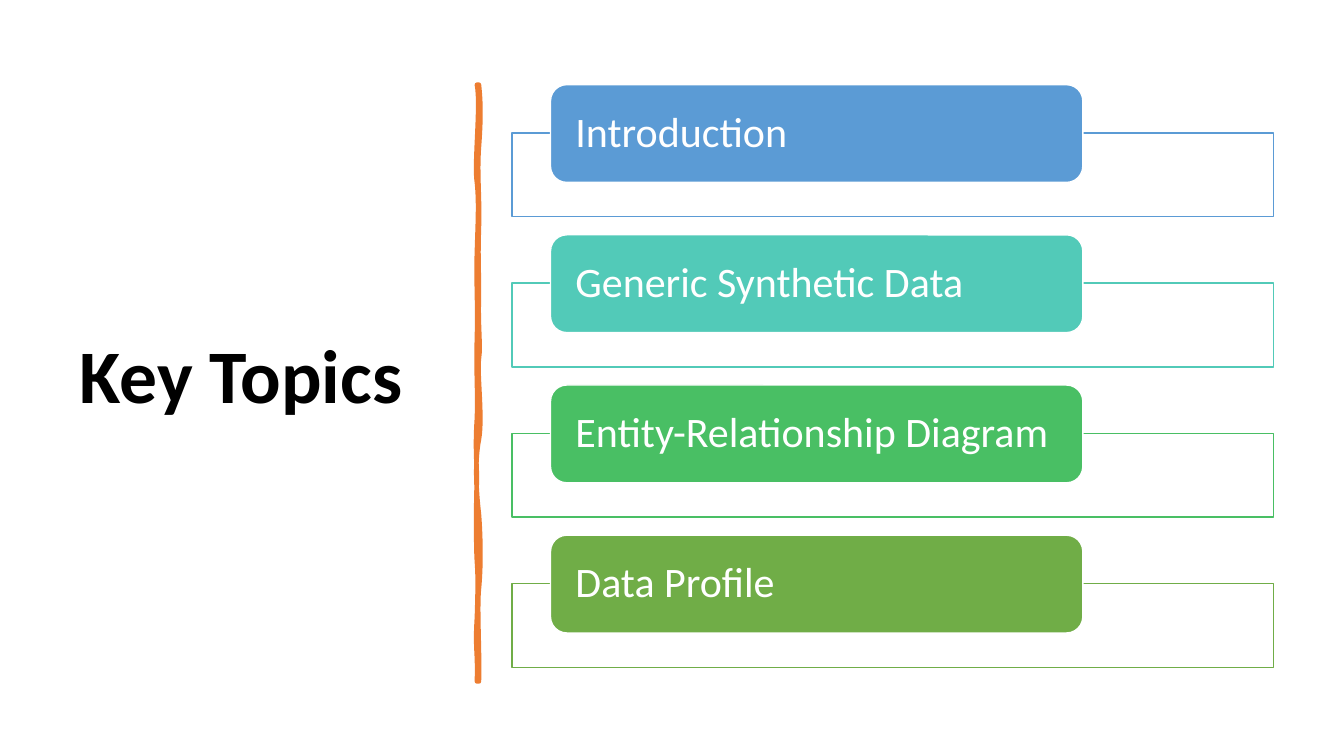
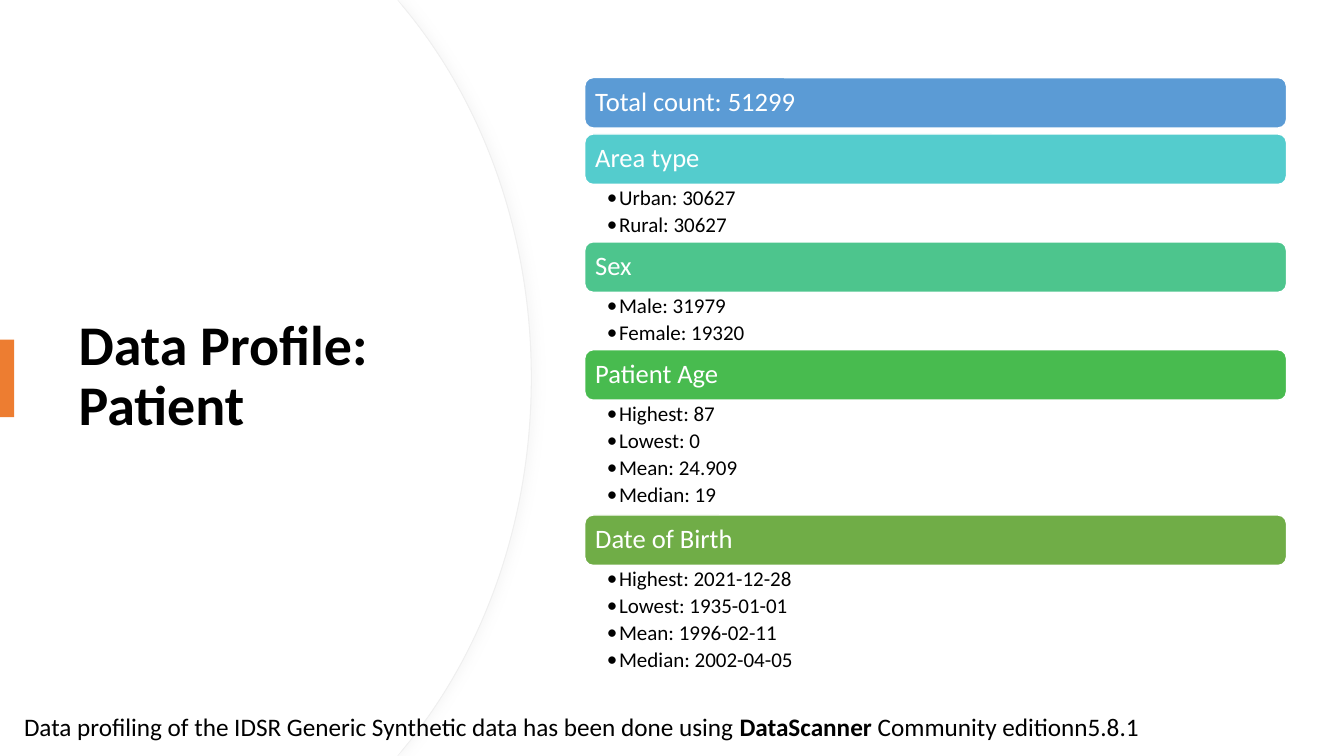
from pptx import Presentation
from pptx.dml.color import RGBColor
from pptx.enum.shapes import MSO_SHAPE
from pptx.enum.text import MSO_ANCHOR, MSO_AUTO_SIZE, PP_ALIGN
from pptx.oxml import parse_xml
from pptx.oxml.ns import nsdecls
from pptx.util import Inches, Pt

RECT, ROUND = MSO_SHAPE.RECTANGLE, MSO_SHAPE.ROUNDED_RECTANGLE
TOP, MIDDLE = MSO_ANCHOR.TOP, MSO_ANCHOR.MIDDLE
LEFT = PP_ALIGN.LEFT
NO_FIT = MSO_AUTO_SIZE.NONE

FONT = "Calibri"
WHITE = RGBColor(0xFF, 0xFF, 0xFF)
BLACK = RGBColor(0x00, 0x00, 0x00)
ORANGE = RGBColor(0xED, 0x7D, 0x31)
PALE = RGBColor(0xEF, 0xEF, 0xEF)
BLUE = RGBColor(0x5B, 0x9B, 0xD5)
TEAL = RGBColor(0x52, 0xCA, 0xB8)
GREEN = RGBColor(0x49, 0xBF, 0x64)
OLIVE = RGBColor(0x70, 0xAD, 0x47)
AQUA = RGBColor(0x54, 0xCC, 0xCD)
MINT = RGBColor(0x4D, 0xC5, 0x8D)
LEAF = RGBColor(0x48, 0xBB, 0x4F)


def write(shape, *lines, size, color=BLACK, bold=False, inset=(0.1, 0.05),
          anchor=MIDDLE, spacing=0.9, after=0, bullet=False, wrap=True):
    """Fill a shape with one paragraph per line; **marks** make words bold."""
    frame = shape.text_frame
    frame.auto_size = NO_FIT
    frame.word_wrap = wrap
    frame.vertical_anchor = anchor
    frame.margin_left = frame.margin_right = Inches(inset[0])
    frame.margin_top = frame.margin_bottom = Inches(inset[1])
    for num, line in enumerate(lines):
        para = frame.add_paragraph() if num else frame.paragraphs[0]
        para.alignment = LEFT
        para.line_spacing = spacing
        para.space_before = Pt(0)
        para.space_after = Pt(after)
        if bullet:
            props = para._p.get_or_add_pPr()
            props.set("marL", str(Inches(0.12)))
            props.set("indent", str(-Inches(0.12)))
            props.append(parse_xml(f'<a:buFont {nsdecls("a")} typeface="{FONT}"/>'))
            props.append(parse_xml(f'<a:buChar {nsdecls("a")} char="•"/>'))
        for part, words in enumerate(line.split("**")):
            run = para.add_run()
            run.text = words
            run.font.name = FONT
            run.font.size = Pt(size)
            run.font.bold = bold or part % 2 == 1
            run.font.color.rgb = color


def box(slide, kind, left, top, width, height, fill, line=None):
    shape = slide.shapes.add_shape(
        kind, Inches(left), Inches(top), Inches(width), Inches(height))
    shape.shadow.inherit = False
    shape.fill.solid()
    shape.fill.fore_color.rgb = fill
    if line is None:
        shape.line.fill.background()
    else:
        shape.line.color.rgb = line
        shape.line.width = Pt(1)
    return shape


# Outlines: two numbers are a point, six are a Bézier curve
BRUSH = [
    (4.75, 0.84),
    (4.77, 1.02, 4.77, 1.19, 4.75, 1.46),
    (4.73, 1.73, 4.76, 1.95, 4.75, 2.26),
    (4.74, 2.57, 4.75, 2.62, 4.75, 2.94),
    (4.74, 3.25, 4.77, 3.42, 4.75, 3.56),
    (4.73, 3.7, 4.79, 4.14, 4.75, 4.36),
    (4.71, 4.57, 4.72, 4.84, 4.75, 5.1),
    (4.77, 5.36, 4.77, 5.64, 4.75, 5.84),
    (4.73, 6.03, 4.76, 6.5, 4.75, 6.76),
    (4.73, 6.76),
    (4.74, 6.46, 4.71, 6.44, 4.73, 6.13),
    (4.74, 5.83, 4.74, 5.7, 4.73, 5.57),
    (4.72, 5.44, 4.72, 4.95, 4.73, 4.77),
    (4.73, 4.59, 4.71, 4.45, 4.73, 4.15),
    (4.74, 3.86, 4.72, 3.73, 4.73, 3.35),
    (4.74, 2.98, 4.72, 2.81, 4.73, 2.5),
    (4.74, 2.18, 4.75, 2, 4.73, 1.81),
    (4.7, 1.63, 4.77, 1.04, 4.73, 0.84),
]
RIM = [
    (0, 0), (3.94, 0), (4.01, 0.08),
    (4.79, 1.02, 5.27, 2.32, 5.27, 3.75),
    (5.27, 5.18, 4.79, 6.48, 4.01, 7.42),
    (3.94, 7.5), (0, 7.5),
]
PANEL = [
    (0, 0), (3.94, 0), (4, 0.08),
    (4.78, 1.02, 5.26, 2.32, 5.26, 3.75),
    (5.26, 5.18, 4.78, 6.48, 4, 7.42),
    (3.94, 7.5), (0, 7.5),
]

PAGES = [
    ("Key Topics", 54, (0.69, 0.7, 3.74, 6.11),
     [(BRUSH, ORANGE, ORANGE, 3.25)]),
    ("Data Profile: Patient", 40, (0.68, 1.27, 3.94, 4.95),
     [(RIM, WHITE, PALE, 0.75), (PANEL, WHITE, None, 0)]),
]

deck = Presentation()
deck.slide_width, deck.slide_height = Inches(13.33), Inches(7.5)

slides, outlines = [], []
for name, size, place, layers in PAGES:
    slide = deck.slides.add_slide(deck.slide_layouts[5])
    slides.append(slide)

    for parts, fill, line, weight in layers:
        ends = [(Inches(part[-2]), Inches(part[-1])) for part in parts]
        pen = slide.shapes.build_freeform(*ends[0])
        pen.add_line_segments(ends[1:], close=True)
        outline = pen.convert_to_shape()
        # Bend the straight segments that are curves
        for part, node in zip(parts[1:], outline._element.findall(".//{*}lnTo")):
            if len(part) == 6:
                knots = "".join(
                    f'<a:pt x="{Inches(x) - outline.left}" y="{Inches(y) - outline.top}"/>'
                    for x, y in zip(part[::2], part[1::2]))
                node.getparent().replace(node, parse_xml(
                    f'<a:cubicBezTo {nsdecls("a")}>{knots}</a:cubicBezTo>'))
        outline.shadow.inherit = False
        outline.fill.solid()
        outline.fill.fore_color.rgb = fill
        if line is None:
            outline.line.fill.background()
        else:
            outline.line.color.rgb = line
            outline.line.width = Pt(weight)
        outlines.append(outline)

    title = slide.shapes.title
    title.left, title.top, title.width, title.height = map(Inches, place)
    write(title, name, size=size, bold=True)
    slide.shapes._spTree.append(title._element)  # bring in front of the outline

topics, profile = slides

# Key topics
TOPICS = [
    ("Introduction", BLUE),
    ("Generic Synthetic Data", TEAL),
    ("Entity-Relationship Diagram", GREEN),
    ("Data Profile", OLIVE),
]
for row, (label, color) in enumerate(TOPICS):
    top = 0.84 + 1.49 * row
    box(topics, RECT, 5.08, top + 0.48, 7.55, 0.83, WHITE, color)
    bar = box(topics, ROUND, 5.46, top, 5.28, 0.97, color, WHITE)
    write(bar, label, size=30, color=WHITE, inset=(0.2, 0))

# Patient profile
rim = outlines[1]
effects = rim._element.spPr.find("{*}effectLst")
effects.append(parse_xml(
    f'<a:outerShdw {nsdecls("a")} blurRad="{Pt(7)}" dist="{Pt(3)}" dir="0">'
    '<a:srgbClr val="D9D9D9"><a:alpha val="20000"/></a:srgbClr></a:outerShdw>'))
box(profile, RECT, 0, 3.37, 0.14, 0.77, ORANGE)

GROUPS = [
    ("Total count: 51299", BLUE, []),
    ("Area type", AQUA, ["Urban: 30627", "Rural: 30627"]),
    ("Sex", MINT, ["Male: 31979", "Female: 19320"]),
    ("Patient Age", LEAF,
     ["Highest: 87", "Lowest: 0", "Mean: 24.909", "Median: 19"]),
    ("Date of Birth", OLIVE,
     ["Highest: 2021-12-28", "Lowest: 1935-01-01",
      "Mean: 1996-02-11", "Median: 2002-04-05"]),
]
top = 0.77
for label, color, items in GROUPS:
    bar = box(profile, ROUND, 5.8, top, 6.96, 0.5, color, WHITE)
    write(bar, label, size=19, color=WHITE, inset=(0.08, 0.08))
    top += 0.5
    if not items:
        top += 0.06
        continue
    height = 0.57 * len(items) / 2
    facts = profile.shapes.add_textbox(
        Inches(5.8), Inches(top), Inches(6.96), Inches(height))
    write(facts, *items, size=15, inset=(0.22, 0.03), anchor=TOP,
          after=3, bullet=True)
    top += height

note = profile.shapes.add_textbox(
    Inches(0.14), Inches(7.01), Inches(11.33), Inches(0.4))
write(note, "Data profiling of the IDSR Generic Synthetic data has been done using "
      "**DataScanner** Community editionn5.8.1",
      size=18, anchor=TOP, spacing=1.0, wrap=False)

deck.save("out.pptx")
